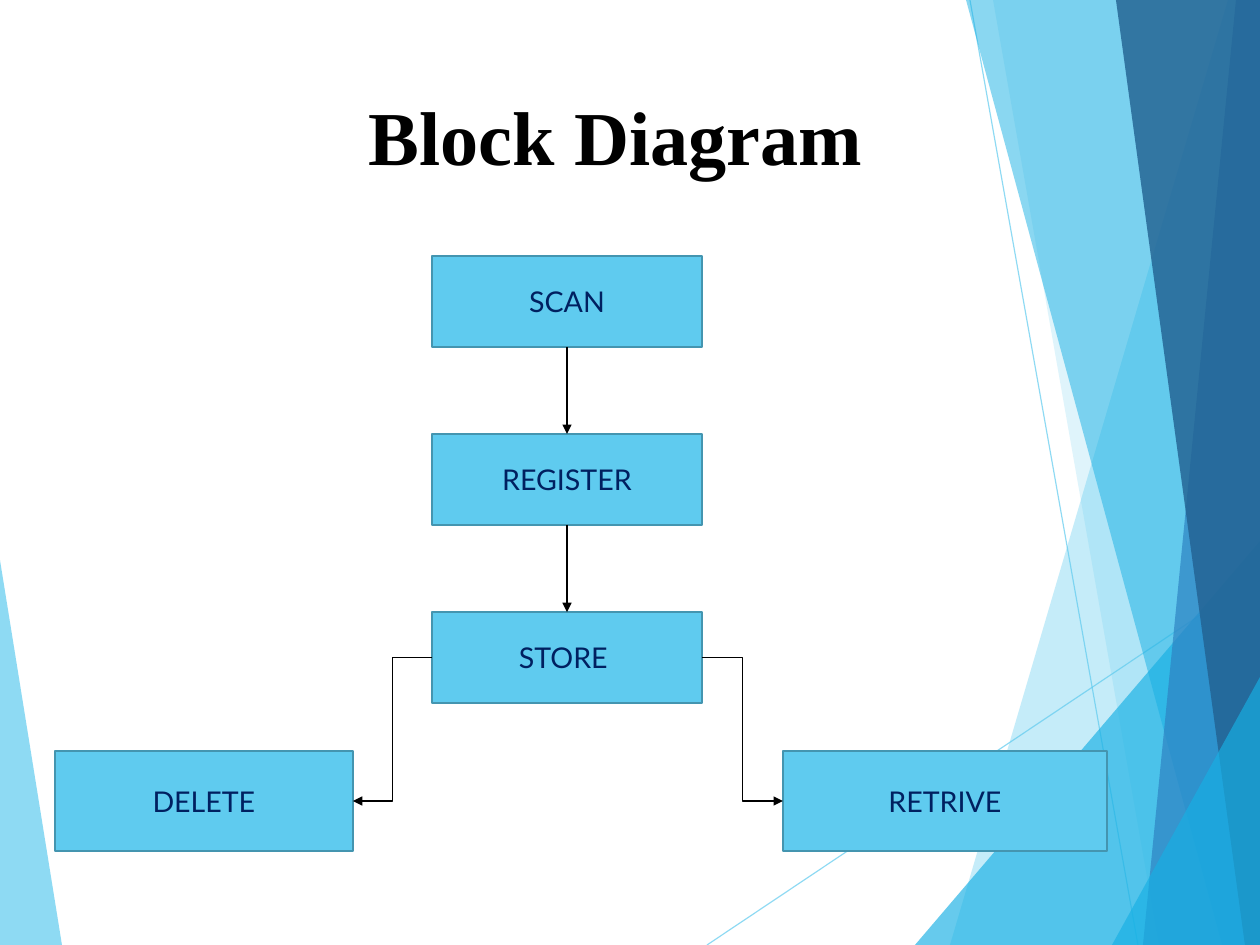
from dataclasses import dataclass
from itertools import pairwise

from pptx import Presentation
from pptx.dml.color import RGBColor
from pptx.enum.shapes import MSO_CONNECTOR as Connector, MSO_SHAPE as Preset
from pptx.enum.text import MSO_ANCHOR as Anchor, PP_ALIGN as Align
from pptx.oxml.ns import qn
from pptx.util import Pt
from lxml.etree import SubElement

PX = 8000
WIDTH, HEIGHT = 1260, 945
TOP, LEFT, BOTTOM, RIGHT = range(4)


@dataclass(frozen=True)
class Theme:
    sky: str = "5FCBEF"
    cyan: str = "17B0E4"
    blue: str = "2E83C3"
    navy: str = "236292"
    border: str = "4495B0"
    label: str = "002060"
    ink: str = "000000"
    title_font: str = "Times New Roman"
    label_font: str = "Lato"
    title_size: int = 48
    label_size: int = 18


class SlideBuilder:
    def __init__(self, slide, theme):
        self.shapes = slide.shapes
        self.theme = theme

    def set_opacity(self, shape, percent):
        for color in shape._element.spPr.iter(qn("a:srgbClr")):
            SubElement(color, qn("a:alpha"), val=str(percent * 1000))

    def facet(self, points, color, opacity):
        builder = self.shapes.build_freeform(*points[0], scale=PX)
        builder.add_line_segments(points[1:], close=True)
        shape = builder.convert_to_shape()
        shape.shadow.inherit = False
        shape.line.fill.background()
        shape.fill.solid()
        shape.fill.fore_color.rgb = RGBColor.from_string(color)
        self.set_opacity(shape, opacity)

    def line(self, start, end, color, width, kind=Connector.STRAIGHT):
        ends = [value * PX for value in (*start, *end)]
        connector = self.shapes.add_connector(kind, *ends)
        connector.line.color.rgb = RGBColor.from_string(color)
        connector.line.width = Pt(width)
        SubElement(connector._element.spPr, qn("a:effectLst"))
        return connector

    def hairline(self, start, end):
        self.set_opacity(self.line(start, end, self.theme.sky, 0.75), 70)

    def arrow(self, source, source_side, target, target_side, kind=Connector.STRAIGHT):
        connector = self.line((0, 0), (0, 0), self.theme.ink, 1, kind)
        connector.begin_connect(source, source_side)
        connector.end_connect(target, target_side)
        outline = connector._element.spPr.find(qn("a:ln"))
        SubElement(outline, qn("a:tailEnd"), type="triangle")

    def set_text(self, shape, text, font_name, size, color, bold=False):
        frame = shape.text_frame
        frame.word_wrap = True
        paragraph = frame.paragraphs[0]
        paragraph.text = text
        paragraph.alignment = Align.CENTER
        font = paragraph.font
        font.name, font.size, font.bold = font_name, Pt(size), bold
        font.color.rgb = RGBColor.from_string(color)
        return frame

    def title(self, text, left, top, width, height):
        theme = self.theme
        shape = self.shapes.add_textbox(left * PX, top * PX, width * PX, height * PX)
        frame = self.set_text(shape, text, theme.title_font, theme.title_size, theme.ink, True)
        frame.margin_top = frame.margin_bottom = 0

    def block(self, text, left, top, width, height):
        theme = self.theme
        shape = self.shapes.add_shape(
            Preset.RECTANGLE, left * PX, top * PX, width * PX, height * PX)
        shape.shadow.inherit = False
        shape.fill.solid()
        shape.fill.fore_color.rgb = RGBColor.from_string(theme.sky)
        shape.line.color.rgb = RGBColor.from_string(theme.border)
        shape.line.width = Pt(1.5)
        frame = self.set_text(shape, text, theme.label_font, theme.label_size, theme.label)
        frame.vertical_anchor = Anchor.MIDDLE
        return shape


def draw_backdrop(builder):
    theme = builder.theme
    corner = (WIDTH, HEIGHT)

    def band(top_x, bottom_x):
        return [(top_x, 0), (bottom_x, HEIGHT), corner, (WIDTH, 0)]

    def wedge(bottom_x, right_y):
        return [(bottom_x, HEIGHT), (WIDTH, right_y), corner]

    builder.facet([(0, 560), (62, HEIGHT), (0, HEIGHT)], theme.sky, 70)
    builder.hairline((707, HEIGHT), (WIDTH, 575))
    builder.hairline((970, 0), (1138, HEIGHT))
    for points, color, opacity in (
        (band(1228, 950), theme.sky, 36),
        (band(993, 1159), theme.sky, 20),
        (wedge(915, 541), theme.cyan, 66),
        (band(966, 1222), theme.cyan, 50),
        (band(1236, 1143), theme.blue, 70),
        (band(1116, 1245), theme.navy, 82),
        (wedge(1112, 677), theme.cyan, 66),
    ):
        builder.facet(points, color, opacity)


def draw_diagram(builder):
    builder.title(" Block Diagram", 54, 89, 1104, 88)
    steps = [
        builder.block(text, 432, 256 + 178 * row, 270, 91)
        for row, text in enumerate(("SCAN", "REGISTER", "STORE "))
    ]
    retrieve = builder.block("RETRIVE", 783, 751, 324, 100)
    delete = builder.block("DELETE", 55, 751, 298, 100)
    for source, target in pairwise(steps):
        builder.arrow(source, BOTTOM, target, TOP)
    store = steps[-1]
    builder.arrow(store, RIGHT, retrieve, LEFT, Connector.ELBOW)
    builder.arrow(store, LEFT, delete, RIGHT, Connector.ELBOW)


def main():
    presentation = Presentation()
    presentation.slide_width = WIDTH * PX
    presentation.slide_height = HEIGHT * PX
    slide = presentation.slides.add_slide(presentation.slide_layouts[6])
    builder = SlideBuilder(slide, Theme())
    draw_backdrop(builder)
    draw_diagram(builder)
    presentation.save("out.pptx")


if __name__ == "__main__":
    main()
